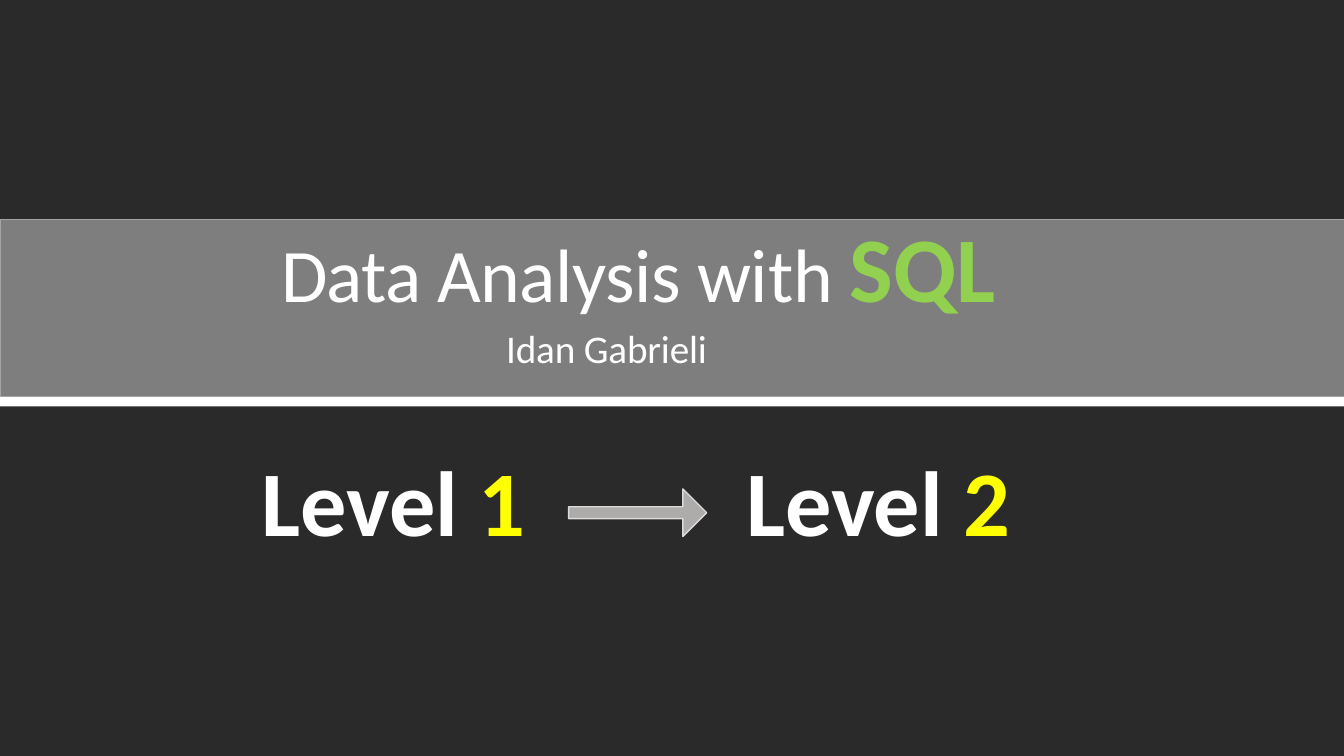
from lxml.etree import SubElement as Sub
from pptx import Presentation
from pptx.dml.color import RGBColor
from pptx.enum.shapes import MSO_SHAPE as Kind
from pptx.enum.text import MSO_ANCHOR as Anchor, PP_ALIGN as Align
from pptx.oxml.ns import qn
from pptx.util import Cm, Pt

DARK = RGBColor(0x2A, 0x2A, 0x2A)
GREY = RGBColor(0x7E, 0x7E, 0x7E)
EDGE = RGBColor(0xA4, 0xA4, 0xA4)
SILVER = RGBColor(0xAE, 0xAB, 0xAB)
PALE = RGBColor(0xDB, 0xDB, 0xDB)
WHITE = RGBColor(0xFF, 0xFF, 0xFF)
GREEN = RGBColor(0x92, 0xD0, 0x50)
YELLOW = RGBColor(0xFF, 0xFF, 0x00)
WIDE, HIGH = 33.87, 19.05


def add_block(slide, kind, box, fill, edge=None, width=0):
    block = slide.shapes.add_shape(kind, *map(Cm, box))
    block.shadow.inherit = False
    block.fill.solid()
    block.fill.fore_color.rgb = fill
    if edge is None:
        block.line.fill.background()
    else:
        block.line.color.rgb = edge
        block.line.width = Pt(width)
    return block


def set_frame(frame):
    form = dict(margin_left=0, margin_right=0, margin_top=0, margin_bottom=0,
                word_wrap=True, vertical_anchor=Anchor.TOP)
    for key, value in form.items():
        setattr(frame, key, value)


def add_run(para, text, size, color, bold=False, gap=0):
    run = para.add_run()
    run.text = text
    form = dict(name="Calibri", size=Pt(size), bold=bold)
    for key, value in form.items():
        setattr(run.font, key, value)
    run.font.color.rgb = color
    run._r.get_or_add_rPr().set("spc", str(gap))


def set_para(para, right=0, **form):
    for key, value in form.items():
        setattr(para, key, value)
    para._p.get_or_add_pPr().set("marR", str(Cm(right)))


def add_tab(para, place):
    tabs = Sub(para._p.get_or_add_pPr(), qn("a:tabLst"))
    Sub(tabs, qn("a:tab"), pos=str(Cm(place)), algn="l")


def add_title(slide):
    band = add_block(slide, Kind.RECTANGLE, (0, 5.54, WIDE, 4.44), GREY, EDGE, 0.5)
    frame = band.text_frame
    set_frame(frame)
    title = frame.paragraphs[0]
    set_para(title, 1.69, alignment=Align.CENTER, line_spacing=Pt(72.2))
    for text, gap in (("Data ", -60), ("Analysis ", -40), ("with ", -20)):
        add_run(title, text, 54, WHITE, gap=gap)
    add_run(title, "SQL", 66, GREEN, True)
    name = frame.add_paragraph()
    set_para(name, 3.3, alignment=Align.CENTER, space_before=Pt(2.1))
    add_run(name, "Idan Gabrieli", 28, WHITE, gap=-10)


def add_levels(slide):
    box = slide.shapes.add_textbox(*map(Cm, (6.6, 11.2, 18.92, 2.87)))
    set_frame(box.text_frame)
    para = box.text_frame.paragraphs[0]
    add_tab(para, 12.22)
    for mark in ("1\t", "2"):
        add_run(para, "Level ", 66, WHITE, True, -20)
        add_run(para, mark, 66, YELLOW, True)


def main():
    deck = Presentation()
    deck.slide_width, deck.slide_height = Cm(WIDE), Cm(HIGH)
    slide = deck.slides.add_slide(deck.slide_layouts[6])
    for top, end in ((0, 5.54), (10.24, HIGH)):
        add_block(slide, Kind.RECTANGLE, (0, top, WIDE, end - top), DARK)
    add_title(slide)
    arrow = add_block(slide, Kind.RIGHT_ARROW, (14.33, 12.32, 3.48, 1.2), SILVER, PALE, 1)
    arrow.adjustments[0] = 0.25
    arrow.adjustments[1] = 0.5
    add_levels(slide)
    deck.save("out.pptx")


if __name__ == "__main__":
    main()
